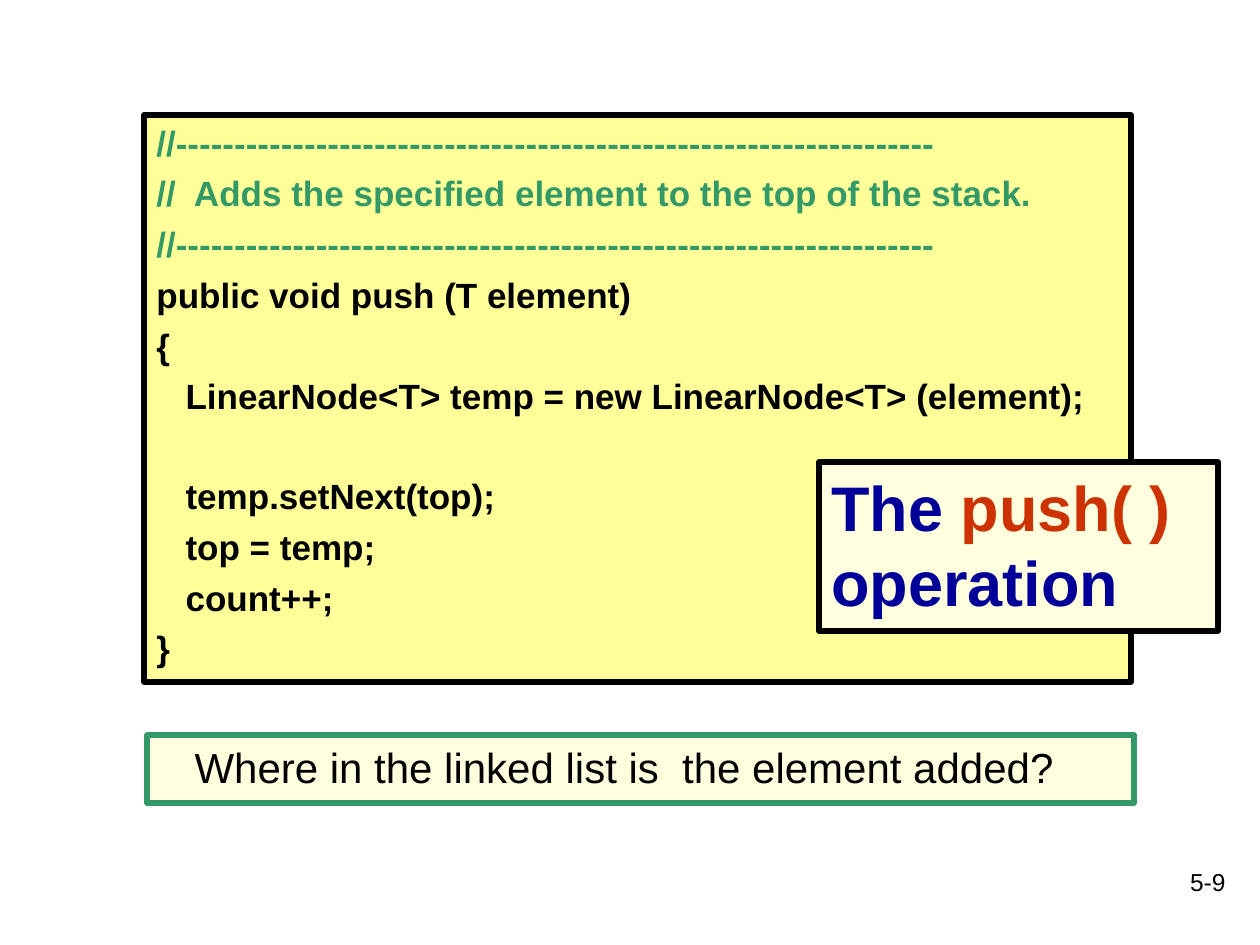
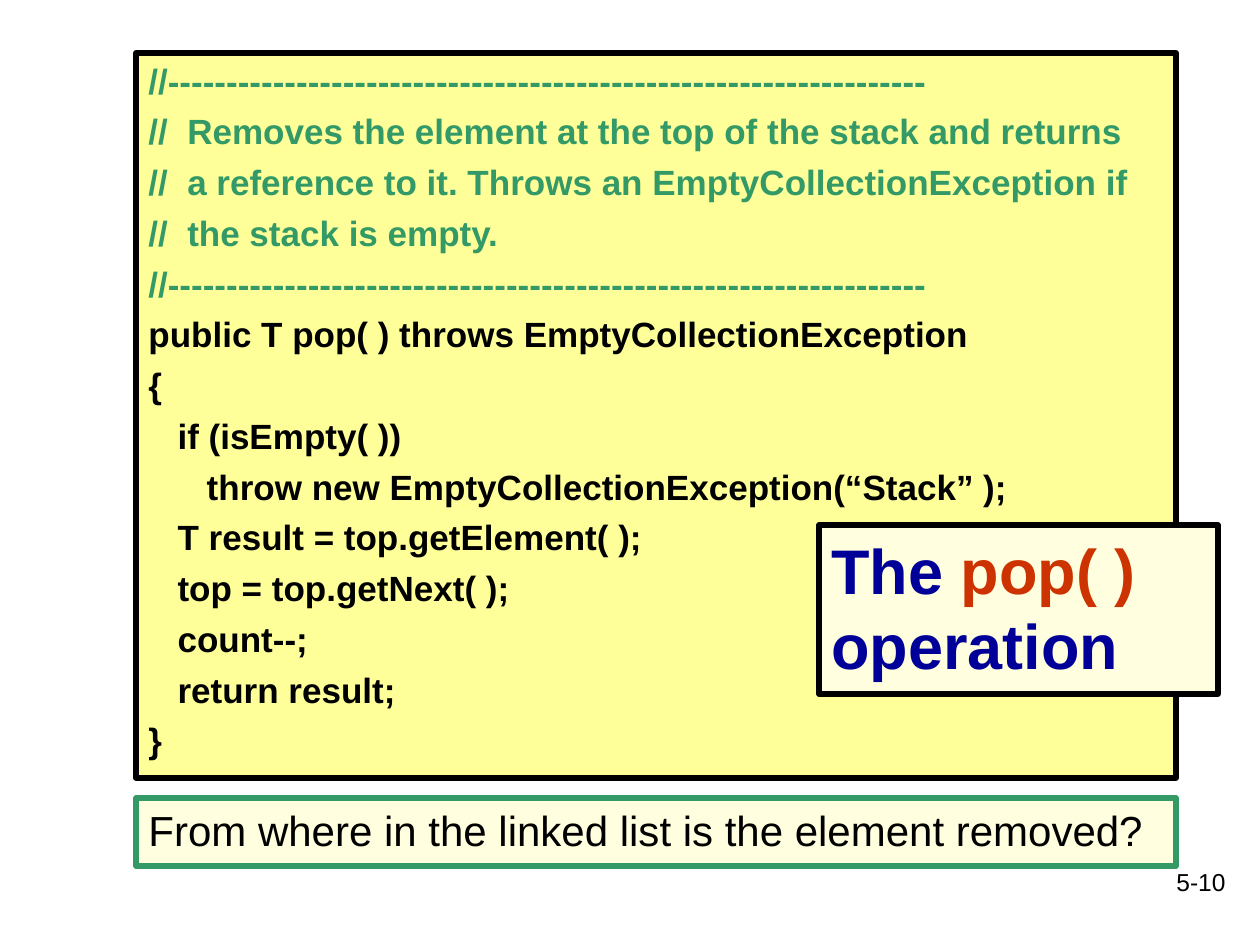
from pptx import Presentation
from pptx.dml.color import RGBColor
from pptx.enum.shapes import MSO_SHAPE
from pptx.enum.text import MSO_ANCHOR, PP_ALIGN
from pptx.util import Emu, Pt

BLACK = RGBColor(0x00, 0x00, 0x00)
GREEN = RGBColor(0x33, 0x99, 0x66)
NAVY = RGBColor(0x00, 0x00, 0x99)
RED = RGBColor(0xCC, 0x33, 0x00)
YELLOW = RGBColor(0xFF, 0xFF, 0x99)
CREAM = RGBColor(0xFF, 0xFF, 0xDF)
SCALE = 914400 / 126
RULE = "//" + "-" * 65


def add_box(slide, place, fill, edge):
    box = slide.shapes.add_shape(MSO_SHAPE.RECTANGLE, *[Emu(round(n * SCALE)) for n in place])
    box.shadow.inherit = False
    box.fill.solid()
    box.fill.fore_color.rgb = fill
    box.line.color.rgb = edge
    box.line.width = Pt(3)
    frame = box.text_frame
    frame.word_wrap = True
    frame.vertical_anchor = MSO_ANCHOR.TOP
    frame.paragraphs[0].alignment = PP_ALIGN.LEFT
    return frame


def add_run(para, text, size, color, bold=False):
    run = para.add_run()
    run.text = text
    run.font.name = "Arial"
    run.font.size = Pt(size)
    run.font.bold = bold
    run.font.color.rgb = color


pages = [
    {
        "number": "5-9",
        "method": "push( ) ",
        "code": [
            RULE,
            "//  Adds the specified element to the top of the stack.",
            RULE,
            "public void push (T element)",
            "{",
            "   LinearNode<T> temp = new LinearNode<T> (element);",
            "",
            "   temp.setNext(top);",
            "   top = temp;",
            "   count++;",
            "}",
        ],
        "query": "Where in the linked list is  the element added?",
        "indent": 35,
        "panel": (144, 115, 987, 567),
        "strip": (147, 735, 987, 68),
        "title": (819, 462, 399, 169),
    },
    {
        "number": "5-10",
        "method": "pop( ) ",
        "code": [
            RULE,
            "//  Removes the element at the top of the stack and returns",
            "//  a reference to it. Throws an EmptyCollectionException if",
            "//  the stack is empty.",
            RULE,
            "public T pop( ) throws EmptyCollectionException",
            "{",
            "   if (isEmpty( ))",
            "      throw new EmptyCollectionException(“Stack” );",
            "   T result = top.getElement( );",
            "   top = top.getNext( );",
            "   count--;",
            "   return result;",
            "}",
        ],
        "query": "From where in the linked list is the element removed?",
        "indent": 0,
        "panel": (136, 53, 1040, 725),
        "strip": (136, 798, 1040, 68),
        "title": (819, 525, 399, 169),
    },
]

deck = Presentation()
deck.slide_width = Emu(round(1260 * SCALE))
deck.slide_height = Emu(round(945 * SCALE))

for page in pages:
    slide = deck.slides.add_slide(deck.slide_layouts[6])

    foot = slide.shapes.add_textbox(*[Emu(round(n * SCALE)) for n in (976, 861, 262, 63)])
    foot.text_frame.word_wrap = True
    para = foot.text_frame.paragraphs[0]
    para.alignment = PP_ALIGN.RIGHT
    add_run(para, page["number"], 14, BLACK)

    frame = add_box(slide, page["panel"], YELLOW, BLACK)
    para = frame.paragraphs[0]
    gap = 0
    for line in page["code"]:
        if not line:
            gap += 28
            continue
        if para.runs:
            para = frame.add_paragraph()
            para.alignment = PP_ALIGN.LEFT
            para.space_before = Pt(gap)
        add_run(para, line, 20, GREEN if line.startswith("//") else BLACK, True)
        gap = 5

    frame = add_box(slide, page["strip"], CREAM, GREEN)
    frame.margin_left += round(page["indent"] * SCALE)
    add_run(frame.paragraphs[0], page["query"], 24, BLACK)

    frame = add_box(slide, page["title"], CREAM, BLACK)
    for text, color in (("The ", NAVY), (page["method"], RED), ("operation", NAVY)):
        add_run(frame.paragraphs[0], text, 36, color, True)

deck.save("out.pptx")
